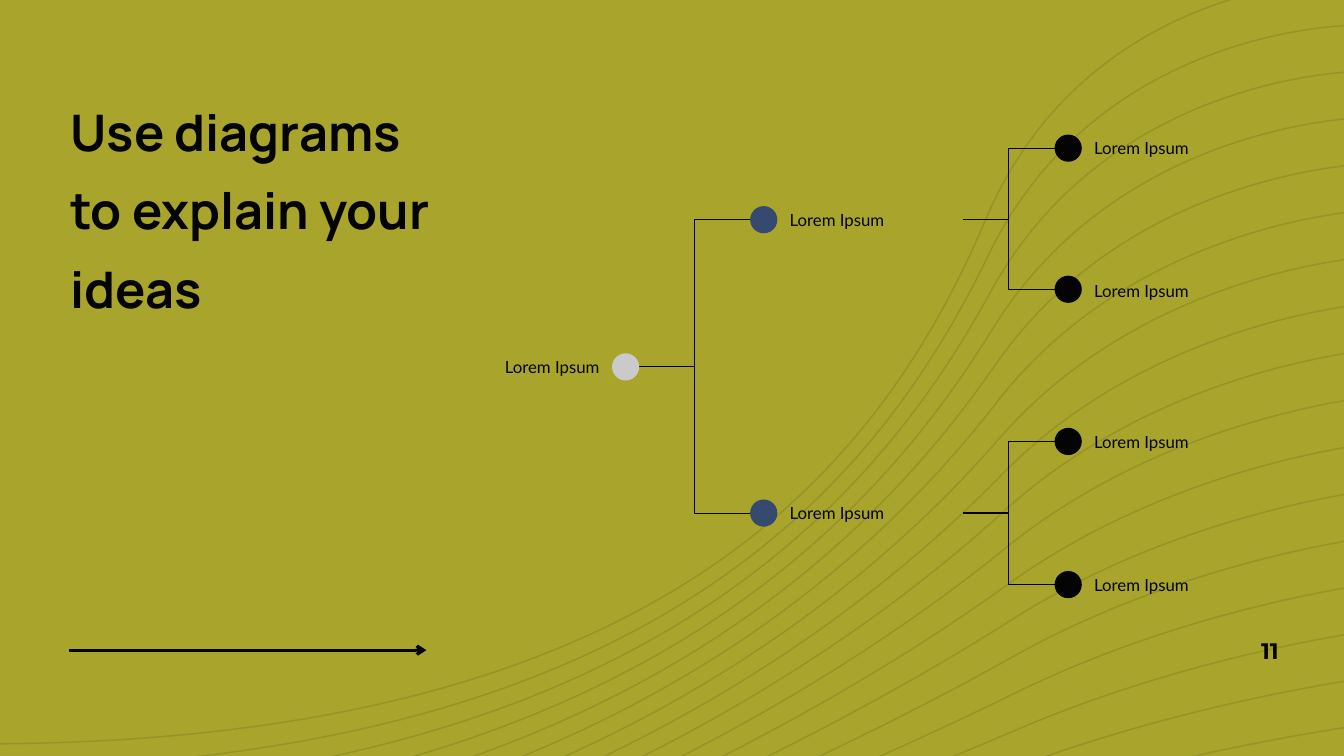
from lxml import etree
from pptx import Presentation
from pptx.dml.color import RGBColor
from pptx.enum.shapes import MSO_CONNECTOR as Link, MSO_SHAPE as Preset
from pptx.enum.text import MSO_ANCHOR as Anchor, PP_ALIGN as Align
from pptx.oxml.ns import qn
from pptx.util import Inches, Pt

OLIVE = RGBColor(0xA9, 0xA4, 0x2C)
INK = RGBColor(0x04, 0x04, 0x04)
BLUE = RGBColor(0x36, 0x4A, 0x6F)
SILVER = RGBColor(0xCA, 0xCA, 0xCA)

TITLE_LINES = ["Use diagrams", "to explain your ideas"]
PAGE_NUMBER = "11"

# name: text, circle left, circle centre y, label centre y, colour, parent
NODES = {
    "root": ("Lorem Ipsum", 6.07, 3.64, 3.64, SILVER, None),
    "upper": ("Lorem Ipsum", 7.44, 2.18, 2.18, BLUE, "root"),
    "lower": ("Lorem Ipsum", 7.44, 5.09, 5.09, BLUE, "root"),
    "upper 1": ("Lorem Ipsum", 10.46, 1.47, 1.47, INK, "upper"),
    "upper 2": ("Lorem Ipsum", 10.46, 2.87, 2.89, INK, "upper"),
    "lower 1": ("Lorem Ipsum", 10.46, 4.38, 4.38, INK, "lower"),
    "lower 2": ("Lorem Ipsum", 10.46, 5.8, 5.8, INK, "lower"),
}
DOT = 0.27
LABEL_W, LABEL_H = 1.84, 0.5

# Each wave is two Bezier arcs that share the fourth point.
FIRST_WAVE = [(13.44, -0.21), (13.44, -0.21), (10.82, -0.27), (9.78, 2.17),
              (8.74, 4.61), (6.6, 7.38), (-0.21, 7.38)]
LAST_WAVE = [(13.98, 7.13), (13.98, 7.13), (12.18, 7.32), (10.16, 7.95),
             (7.19, 8.88), (2.99, 10.1), (0.56, 11.45)]
WAVE_COUNT = 17
WAVE_BOW = 0.08
BOWED_POINTS = (2, 4)


def set_all(target, values):
    for name, value in values.items():
        setattr(target, name, value)


def style_line(shape, width):
    shape.line.color.rgb = INK
    shape.line.width = Pt(width)


def add_link(page, kind, start, end, width):
    link = page.shapes.add_connector(kind, *map(Inches, start + end))
    style_line(link, width)
    etree.SubElement(link._element.spPr, qn("a:effectLst"))
    return link


def write(shape, lines, font, align=Align.LEFT, spacing=1.0, inset=(0, 0),
          anchor=Anchor.TOP):
    """Fill a shape with one paragraph, its lines parted by line breaks."""
    frame = shape.text_frame
    side, edge = map(Inches, inset)
    set_all(frame, {"word_wrap": True, "vertical_anchor": anchor,
                    "margin_left": side, "margin_right": side,
                    "margin_top": edge, "margin_bottom": edge})
    para = frame.paragraphs[0]
    set_all(para, {"alignment": align, "line_spacing": spacing})
    for index, line in enumerate(lines):
        if index:
            para.add_line_break()
        span = para.add_run()
        span.text = line
        set_all(span.font, font)
        span.font.color.rgb = INK


def wave_controls(t):
    """Blend the first wave into the last, bowing two of its points."""
    bow = WAVE_BOW * 4 * t * (1 - t)
    return [tuple(a + (b - a) * t + (bow if index in BOWED_POINTS else 0)
                  for a, b in zip(first, last))
            for index, (first, last) in enumerate(zip(FIRST_WAVE, LAST_WAVE))]


def bend(outline):
    """Turn each three straight segments of an outline into one Bezier arc."""
    segments = outline.findall(qn("a:lnTo"))
    for first in range(0, len(segments), 3):
        arc = etree.SubElement(outline, qn("a:cubicBezTo"))
        for segment in segments[first:first + 3]:
            arc.append(segment[0])
            outline.remove(segment)


def add_wave(page, controls):
    start, *others = [tuple(map(Inches, point)) for point in controls]
    builder = page.shapes.build_freeform(*start)
    builder.add_line_segments(others, close=False)
    wave = builder.convert_to_shape()
    bend(wave._element.spPr.find(".//" + qn("a:path")))
    wave.shadow.inherit = False
    wave.fill.background()
    style_line(wave, 1.1)
    colour = wave.line._ln.find(".//" + qn("a:srgbClr"))
    etree.SubElement(colour, qn("a:alpha"), val="10000")


def add_node(page, text, left, dot_y, label_y, colour, parent):
    dot = page.shapes.add_shape(Preset.OVAL, Inches(left), Inches(dot_y - DOT / 2),
                                Inches(DOT), Inches(DOT))
    dot.fill.solid()
    dot.fill.fore_color.rgb = colour
    label_left = left + DOT if parent else left - LABEL_W
    label = page.shapes.add_shape(
        Preset.ROUNDED_RECTANGLE, Inches(label_left),
        Inches(label_y - LABEL_H / 2), Inches(LABEL_W), Inches(LABEL_H))
    label.fill.background()
    for shape in (dot, label):
        shape.line.fill.background()
        shape.shadow.inherit = False
    write(label, [text], {"name": "Lato", "size": Pt(12)},
          align=Align.LEFT if parent else Align.RIGHT,
          inset=(0.1, 0.1), anchor=Anchor.MIDDLE)


def add_branch(page, node):
    """Link a node to the right end of its parent."""
    _, left, dot_y, _, _, parent = node
    _, parent_left, parent_y, _, _, grandparent = NODES[parent]
    start = parent_left + DOT + (LABEL_W if grandparent else 0)
    add_link(page, Link.ELBOW, (start, parent_y), (left, dot_y), 0.75)


def main():
    deck = Presentation()
    set_all(deck, {"slide_width": Inches(13.33), "slide_height": Inches(7.5)})
    page = deck.slides.add_slide(deck.slide_layouts[6])
    page.background.fill.solid()
    page.background.fill.fore_color.rgb = OLIVE

    for index in range(WAVE_COUNT):
        add_wave(page, wave_controls(index / (WAVE_COUNT - 1)))

    arrow = add_link(page, Link.STRAIGHT, (0.68, 6.45), (4.23, 6.45), 2.25)
    etree.SubElement(arrow.line._ln, qn("a:tailEnd"), type="arrow")

    number = page.shapes.add_textbox(*map(Inches, (12, 6.25, 0.78, 0.4)))
    write(number, [PAGE_NUMBER],
          {"name": "Montserrat", "size": Pt(16), "bold": True},
          align=Align.RIGHT, inset=(0.1, 0.05), anchor=Anchor.MIDDLE)
    title = page.shapes.add_textbox(*map(Inches, (0.7, 0.82, 4.23, 2.19)))
    write(title, TITLE_LINES,
          {"name": "Manrope", "size": Pt(36), "bold": True}, spacing=1.3)

    for node in NODES.values():
        if node[-1]:
            add_branch(page, node)
    for node in NODES.values():
        add_node(page, *node)

    deck.save("out.pptx")


if __name__ == "__main__":
    main()
